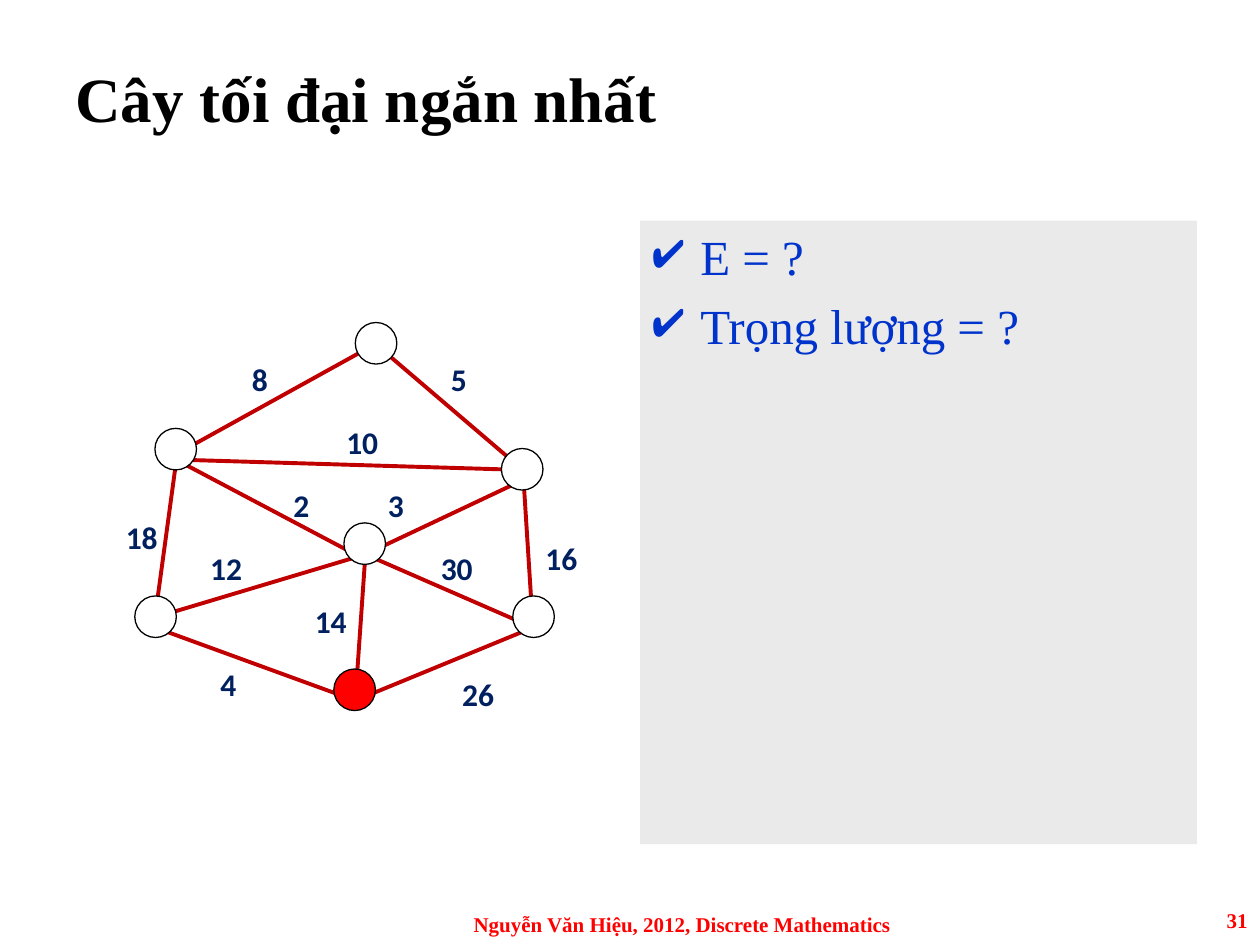
from lxml import etree
from pptx import Presentation
from pptx.dml.color import RGBColor
from pptx.enum.shapes import MSO_CONNECTOR, MSO_SHAPE
from pptx.enum.text import MSO_ANCHOR, PP_ALIGN
from pptx.oxml.ns import qn
from pptx.util import Inches, Pt

STRAIGHT = MSO_CONNECTOR.STRAIGHT
RECTANGLE, OVAL = MSO_SHAPE.RECTANGLE, MSO_SHAPE.OVAL
TOP, MIDDLE = MSO_ANCHOR.TOP, MSO_ANCHOR.MIDDLE
LEFT, CENTER, RIGHT = PP_ALIGN.LEFT, PP_ALIGN.CENTER, PP_ALIGN.RIGHT

TITLE = "Cây tối đại ngắn nhất"
QUESTIONS = ["E = ?", "Trọng lượng = ?"]
FOOTER = "Nguyễn Văn Hiệu, 2012, Discrete Mathematics"
PAGE = "31"

# weight, edge start, edge end, weight position
EDGES = [
    ("10", (4.15, 3.73), (1.48, 3.65), (2.65, 3.31)),
    ("2", (2.82, 4.4), (1.4, 3.65), (2.23, 3.81)),
    ("3", (4.15, 3.81), (2.9, 4.4), (2.98, 3.81)),
    ("8", (2.98, 2.73), (1.48, 3.56), (1.9, 2.81)),
    ("5", (4.15, 3.73), (2.98, 2.73), (3.48, 2.81)),
    ("16", (4.15, 3.73), (4.23, 4.98), (4.23, 4.23)),
    ("30", (4.23, 4.98), (2.9, 4.4), (3.4, 4.31)),
    ("14", (2.82, 5.56), (2.9, 4.4), (2.4, 4.73)),
    ("26", (4.23, 4.98), (2.82, 5.56), (3.57, 5.31)),
    ("18", (1.23, 4.9), (1.4, 3.65), (0.9, 4.06)),
    ("12", (2.9, 4.4), (1.23, 4.9), (1.57, 4.31)),
    ("4", (2.82, 5.56), (1.23, 4.98), (1.65, 5.23)),
]
VERTICES = [(1.23, 3.4), (2.82, 2.56), (3.98, 3.56), (4.07, 4.73), (2.73, 4.15), (1.07, 4.73)]
ROOT = (2.65, 5.31)
VERTEX_SIZE = 0.33

THEME = {
    "serif": "Times New Roman", "sans": "Calibri",
    "title": "000000", "question": "0033CC", "footer": "FF0000", "weight": "002060",
    "panel": "EAEAEA", "edge": "C00000", "vertex": "FFFFFF", "root": "FF0000", "outline": "000000",
    "title_size": 36, "question_size": 28, "footer_size": 12, "weight_size": 18,
}


def color(part):
    return RGBColor.from_string(THEME[part])


def write(paragraph, text, part, face="serif", bold=True):
    run = paragraph.add_run()
    run.text = text
    run.font.name = THEME[face]
    run.font.size = Pt(THEME[part + "_size"])
    run.font.bold = bold
    run.font.color.rgb = color(part)


def add_label(slide, box, text, part, face="serif", anchor=MIDDLE, align=LEFT):
    frame = slide.shapes.add_textbox(*map(Inches, box)).text_frame
    frame.word_wrap = True
    frame.vertical_anchor = anchor
    frame.paragraphs[0].alignment = align
    write(frame.paragraphs[0], text, part, face)


def add_check(paragraph):
    properties = paragraph._p.get_or_add_pPr()
    properties.set("marL", str(Inches(0.38)))
    properties.set("indent", str(-Inches(0.38)))
    tint = etree.SubElement(properties, qn("a:buClr"))
    etree.SubElement(tint, qn("a:srgbClr"), val=THEME["question"])
    etree.SubElement(properties, qn("a:buChar"), char="✔")


def add_questions(slide):
    panel = slide.shapes.add_shape(RECTANGLE, *map(Inches, (5.08, 1.75, 4.42, 4.95)))
    panel.shadow.inherit = False
    panel.fill.solid()
    panel.fill.fore_color.rgb = color("panel")
    panel.line.fill.background()
    frame = panel.text_frame
    frame.word_wrap = True
    frame.vertical_anchor = TOP
    for index, question in enumerate(QUESTIONS):
        paragraph = frame.add_paragraph() if index else frame.paragraphs[0]
        add_check(paragraph)
        paragraph.alignment = LEFT
        if index:
            paragraph.space_before = Pt(5.6)
        write(paragraph, question, "question", bold=False)


def add_edge(slide, start, end):
    edge = slide.shapes.add_connector(STRAIGHT, *map(Inches, start + end))
    edge.line.color.rgb = color("edge")
    edge.line.width = Pt(2.25)
    outline = edge.line._get_or_add_ln()
    for tip in ("a:headEnd", "a:tailEnd"):
        etree.SubElement(outline, qn(tip), type="oval")
    etree.SubElement(edge._element.spPr, qn("a:effectLst"))


def add_vertex(slide, corner, part):
    vertex = slide.shapes.add_shape(OVAL, *map(Inches, corner + (VERTEX_SIZE, VERTEX_SIZE)))
    vertex.shadow.inherit = False
    vertex.fill.solid()
    vertex.fill.fore_color.rgb = color(part)
    vertex.line.color.rgb = color("outline")
    vertex.line.width = Pt(0.75)


def main():
    deck = Presentation()
    deck.slide_width, deck.slide_height = Inches(10), Inches(7.5)
    slide = deck.slides.add_slide(deck.slide_layouts[6])

    add_label(slide, (0.5, 0.3, 9, 0.95), TITLE, "title")
    add_questions(slide)
    add_label(slide, (3.33, 7.17, 4.17, 0.33), FOOTER, "footer", align=CENTER)
    add_label(slide, (7.67, 7.1, 2.33, 0.4), PAGE, "footer", align=RIGHT)

    for _, start, end, _ in EDGES:
        add_edge(slide, start, end)
    for weight, _, _, corner in EDGES:
        add_label(slide, corner + (0.5, 0.38), weight, "weight", "sans", TOP)
    for corner in VERTICES:
        add_vertex(slide, corner, "vertex")
    add_vertex(slide, ROOT, "root")

    deck.save("out.pptx")


if __name__ == "__main__":
    main()
